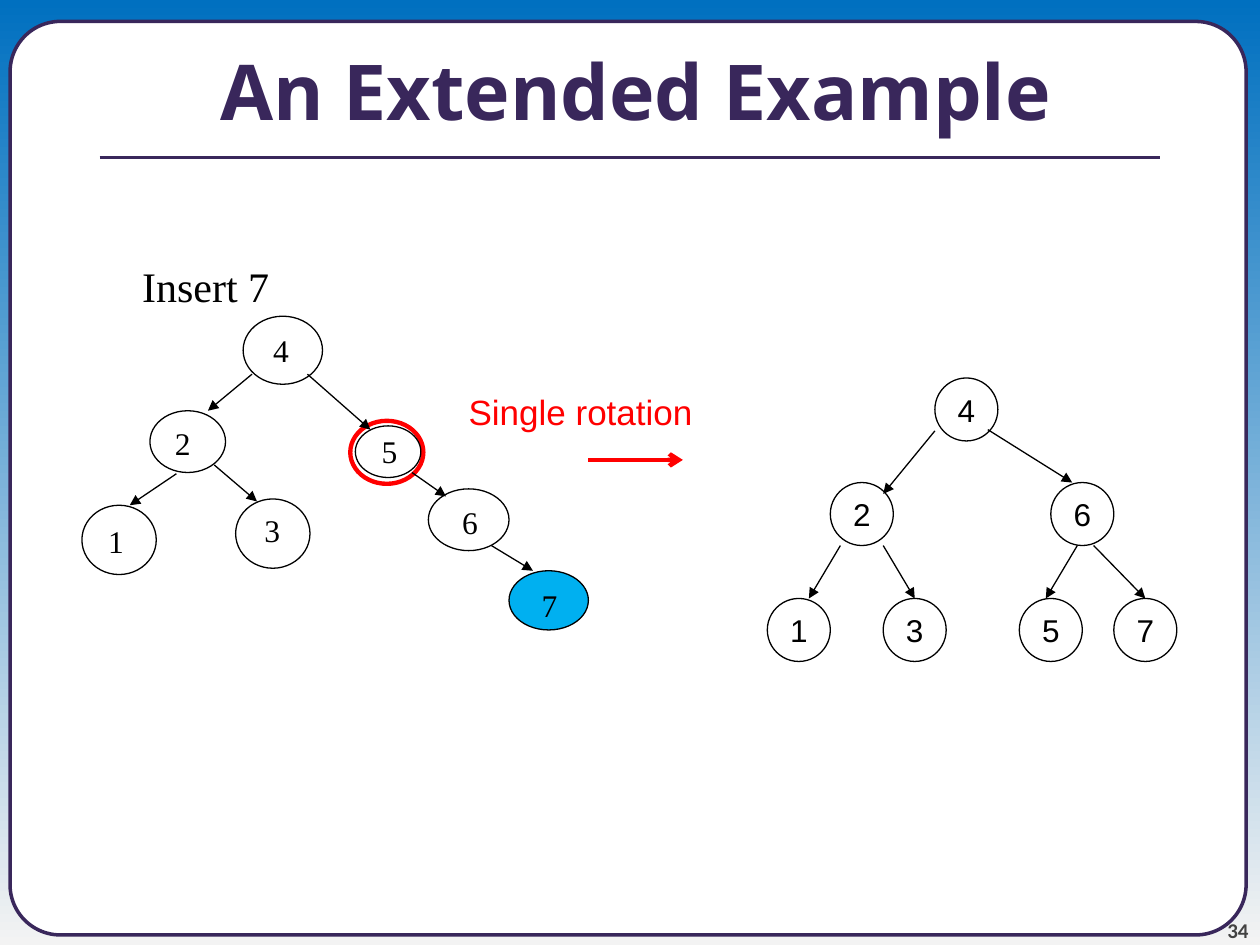
from lxml import etree
from pptx import Presentation
from pptx import util as u
from pptx.dml.color import RGBColor
from pptx.enum import shapes, text
from pptx.oxml import ns

HUES = {"ink": "000000", "plum": "39275B", "red": "FF0000", "cyan": "00B0F0",
        "white": "FFFFFF", "gray": "424242", "sky": "0070C0", "mist": "F3F3F3"}
SERIF = "Times New Roman"


def hue(name):
    return RGBColor.from_string(HUES[name])


def write(frame, words, size=18, font="Arial", color="ink", bold=False,
          align="LEFT", anchor="TOP", wrap=True, inset=None):
    frame.word_wrap = wrap
    frame.vertical_anchor = getattr(text.MSO_ANCHOR, anchor)
    if inset is not None:
        frame.margin_left = frame.margin_right = u.Inches(inset)
        frame.margin_top = frame.margin_bottom = u.Inches(inset)
    par = frame.paragraphs[0]
    par.alignment = getattr(text.PP_ALIGN, align)
    run = par.add_run()
    run.text = words
    run.font.size, run.font.name, run.font.bold = u.Pt(size), font, bold
    run.font.color.rgb = hue(color)


class Deck:
    """Holds the slide and draws each kind of element in its style."""

    def __init__(self):
        self.file = Presentation()
        self.file.slide_width, self.file.slide_height = u.Inches(10), u.Inches(7.5)
        self.slide = self.file.slides.add_slide(self.file.slide_layouts[6])

    def wash(self, top, base):
        fill = self.slide.background.fill
        fill.gradient()
        fill.gradient_angle = 270
        for stop, name in zip(fill.gradient_stops, (top, base)):
            stop.color.rgb = hue(name)

    def shape(self, kind, box, fill=None, line="ink", width=0.75):
        item = self.slide.shapes.add_shape(getattr(shapes.MSO_SHAPE, kind),
                                           *map(u.Inches, box))
        item.shadow.inherit = False
        if fill:
            item.fill.solid()
            item.fill.fore_color.rgb = hue(fill)
        else:
            item.fill.background()
        item.line.color.rgb, item.line.width = hue(line), u.Pt(width)
        return item

    def label(self, box, words, **style):
        item = self.slide.shapes.add_textbox(*map(u.Inches, box))
        write(item.text_frame, words, **style)

    def line(self, ends, color="ink", width=0.75, head=None):
        item = self.slide.shapes.add_connector(shapes.MSO_CONNECTOR.STRAIGHT,
                                               *map(u.Inches, ends))
        item.line.color.rgb, item.line.width = hue(color), u.Pt(width)
        props = item.element.spPr
        if head:
            etree.SubElement(props.get_or_add_ln(), ns.qn("a:tailEnd"), type=head)
        etree.SubElement(props, ns.qn("a:effectLst"))

    def oval(self, box, words, spot, fill=None):
        self.shape("OVAL", box, fill)
        self.label((*spot, 0.5, 0.4), words, font=SERIF)

    def ball(self, left, top, words):
        item = self.shape("OVAL", (left, top, 0.5, 0.5))
        write(item.text_frame, words, align="CENTER", anchor="MIDDLE", wrap=False)


def main():
    deck = Deck()
    deck.wash("sky", "mist")
    card = deck.shape("ROUNDED_RECTANGLE", (0.08, 0.17, 9.81, 7.25), "white", "plum", 2)
    card.adjustments[0] = 0.055
    deck.label((9.08, 7.08, 0.83, 0.4), "34", size=12, font="Calibri", color="gray",
               bold=True, align="RIGHT", anchor="BOTTOM", inset=0)
    deck.line((0.79, 1.25, 9.21, 1.25), "plum", 2.25)
    deck.label((0.05, 0.3, 10, 1.25), "An Extended Example", size=44,
               font="Open Sans", color="plum", bold=True, align="CENTER")

    deck.label((1.03, 2.02, 1.54, 0.5), "Insert 7", size=24, font=SERIF)
    deck.label((3.62, 3.05, 1.98, 0.43), "Single rotation", size=20, color="red", wrap=False)
    deck.line((4.67, 3.65, 5.42, 3.65), "red", 2.5, "arrow")

    deck.shape("OVAL", (2.78, 3.34, 0.58, 0.5), line="red", width=2.5)
    for box, words, spot, fill in (
            ((1.93, 2.51, 0.63, 0.54), "4", (2.07, 2.58), None),
            ((1.19, 3.26, 0.6, 0.49), "2", (1.29, 3.32), None),
            ((2.82, 3.38, 0.52, 0.41), "5", (2.93, 3.38), None),
            ((3.4, 3.88, 0.64, 0.49), "6", (3.57, 3.94), None),
            ((0.65, 4.01, 0.59, 0.55), "1", (0.76, 4.09), None),
            ((1.87, 3.96, 0.59, 0.55), "3", (2, 4.01), None),
            ((4.04, 4.53, 0.63, 0.47), "7", (4.2, 4.6), "cyan")):
        deck.oval(box, words, spot, fill)

    tiers = {3: ((7.42, "4"),),
             3.83: ((6.59, "2"), (8.34, "6")),
             4.75: ((6.09, "1"), (7.01, "3"), (8.09, "5"), (8.84, "7"))}
    for top, row in tiers.items():
        for left, words in row:
            deck.ball(left, top, words)

    before = ((2, 2.97, 1.65, 3.26), (2.44, 2.97, 2.94, 3.41), (1.4, 3.76, 1.03, 4.01),
              (1.7, 3.69, 2.04, 3.98), (3.27, 3.75, 3.54, 3.94), (3.9, 4.33, 4.23, 4.53))
    after = ((7.42, 3.42, 7.01, 3.92), (7.84, 3.41, 8.51, 3.83))
    leaves = ((6.67, 6.42), (7.01, 7.26), (8.55, 8.3), (8.68, 9.09))
    for ends in before + after + tuple((a, 4.33, b, 4.75) for a, b in leaves):
        deck.line(ends, head="triangle")

    deck.file.save("out.pptx")


if __name__ == "__main__":
    main()
